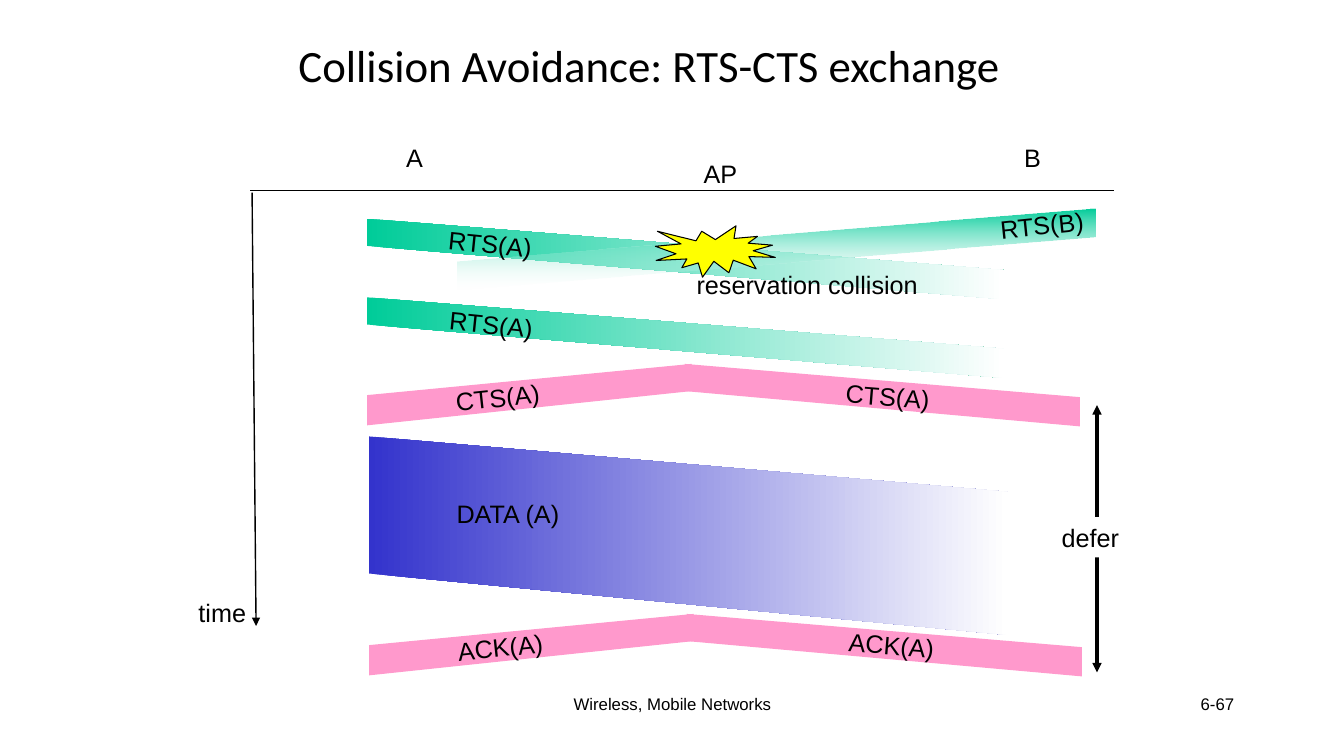
from lxml import etree
from pptx import Presentation
from pptx.dml.color import RGBColor
from pptx.enum.shapes import MSO_CONNECTOR, MSO_SHAPE
from pptx.enum.text import MSO_ANCHOR, PP_ALIGN
from pptx.oxml.ns import qn
from pptx.util import Inches, Pt

BLACK = RGBColor(0x00, 0x00, 0x00)
WHITE = RGBColor(0xFF, 0xFF, 0xFF)
GREEN = RGBColor(0x00, 0xCC, 0x99)
PINK = RGBColor(0xFF, 0x99, 0xCC)
BLUE = RGBColor(0x33, 0x33, 0xCC)
YELLOW = RGBColor(0xFF, 0xFF, 0x00)
LEFT, CENTER, RIGHT = PP_ALIGN.LEFT, PP_ALIGN.CENTER, PP_ALIGN.RIGHT
TITLE_ONLY = 5

presentation = Presentation()
presentation.slide_width = Inches(13.33)
presentation.slide_height = Inches(7.5)
slide = presentation.slides.add_slide(presentation.slide_layouts[TITLE_ONLY])
shapes = slide.shapes


def write(shape, text, size=18, font_name="Arial", align=LEFT, wrap=False):
    frame = shape.text_frame
    frame.word_wrap = wrap
    paragraph = frame.paragraphs[0]
    paragraph.text = text
    paragraph.alignment = align
    font_format = {"size": Pt(size), "name": font_name}
    for name, value in font_format.items():
        setattr(paragraph.font, name, value)
    paragraph.font.color.rgb = BLACK


def add_line(start, end, width, arrows=()):
    """Draw a black line; arrows lists the ends (headEnd, tailEnd) with a triangle."""
    line = shapes.add_connector(MSO_CONNECTOR.STRAIGHT,
                                *[Inches(value) for value in start + end])
    line.line.color.rgb = BLACK
    line.line.width = Pt(width)
    outline = line.line._get_or_add_ln()
    for arrow in arrows:
        etree.SubElement(outline, qn("a:" + arrow), type="triangle")
    etree.SubElement(line._element.spPr, qn("a:effectLst"))


title = shapes.title
title.left, title.top, title.width, title.height = [
    Inches(value) for value in (2.19, 0.13, 8.5, 1.03)]
write(title, "Collision Avoidance: RTS-CTS exchange", 32, "Calibri", CENTER, True)
title.text_frame.vertical_anchor = MSO_ANCHOR.MIDDLE

# Time and station axes
add_line((2.5, 1.91), (2.54, 6.21), 1, ["tailEnd"])
add_line((2.48, 1.89), (11.05, 1.89), 0.75)

# Message bands: x and upper/lower y at each side, colour, gradient angle, end alpha
bands = [
    (3.64, 2.17, 2.44, 9.96, 2.68, 2.97, GREEN, 0, None),
    (4.54, 2.59, 2.87, 10.86, 2.07, 2.35, GREEN, 270, 6),
    (3.64, 2.95, 3.22, 9.96, 3.46, 3.75, GREEN, 0, None),
    (3.66, 4.33, 5.69, 10, 4.88, 6.3, BLUE, 0, None),
]
for x, y in ((3.64, 3.61), (3.66, 6.09)):  # replies fan out from the AP
    bands += [
        (x + 3.15, y, y + 0.27, x + 7.07, y + 0.33, y + 0.62, PINK, None, None),
        (x, y + 0.31, y + 0.61, x + 3.22, y, y + 0.27, PINK, None, None),
    ]
for x1, top1, bottom1, x2, top2, bottom2, color, angle, alpha in bands:
    corners = [(Inches(x), Inches(y)) for x, y in
               ((x1, top1), (x2, top2), (x2, bottom2), (x1, bottom1))]
    builder = shapes.build_freeform(*corners[0], scale=1.0)
    builder.add_line_segments(corners[1:], close=True)
    band = builder.convert_to_shape()
    band.shadow.inherit = False
    band.line.fill.background()
    if angle is None:
        band.fill.solid()
        band.fill.fore_color.rgb = color
        continue
    band.fill.gradient()
    band.fill.gradient_angle = angle
    for stop, stop_color, position in zip(band.fill.gradient_stops, (color, WHITE), (0, 1)):
        stop.color.rgb = stop_color
        stop.position = position
    if alpha is not None:
        end_color = band._element.spPr.findall(".//" + qn("a:srgbClr"))[-1]
        etree.SubElement(end_color, qn("a:alpha"), val=str(alpha * 1000))

collision = shapes.add_shape(MSO_SHAPE.EXPLOSION1, Inches(6.5), Inches(2.24),
                             Inches(1.19), Inches(0.51))
collision.shadow.inherit = False
collision.fill.solid()
collision.fill.fore_color.rgb = YELLOW
collision.line.color.rgb = BLACK
collision.line.width = Pt(0.75)

# Labels: text, left, top, width, rotation
for text, left, top, width, rotation in (
    ("AP", 6.88, 1.52, 0.54, 0),
    ("A", 3.93, 1.36, 0.38, 0),
    ("B", 10.06, 1.36, 0.37, 0),
    ("time", 1.87, 5.88, 0.68, 0),
    ("RTS(A)", 4.35, 2.22, 1.07, 5.9),
    ("RTS(B)", 9.82, 2.03, 1.04, -5.9),
    ("RTS(A)", 4.36, 3.02, 1.07, 5.9),
    ("CTS(A)", 4.42, 3.74, 1.06, -6.3),
    ("CTS(A)", 8.29, 3.73, 1.06, 4.6),
    ("DATA (A)", 4.43, 4.89, 1.97, 0),
    ("ACK(A)", 4.44, 6.22, 1.05, -6.3),
    ("ACK(A)", 8.32, 6.2, 1.05, 4.6),
    ("reservation collision", 6.81, 2.62, 3.09, 0),
):
    label = shapes.add_textbox(Inches(left), Inches(top), Inches(width), Inches(0.4))
    label.rotation = rotation
    write(label, text, wrap=width > 1.5)

# Deferral period of station B
add_line((10.88, 4.02), (10.88, 6.67), 2.25, ["headEnd", "tailEnd"])
defer = shapes.add_shape(MSO_SHAPE.RECTANGLE, Inches(10.43), Inches(5.13),
                         Inches(0.78), Inches(0.4))
defer.shadow.inherit = False
defer.fill.solid()
defer.fill.fore_color.rgb = WHITE
defer.line.fill.background()
write(defer, "defer")

for text, left, width, align in (("Wireless, Mobile Networks", 4.56, 4.22, CENTER),
                                 ("6-67", 9.56, 2.78, RIGHT)):
    footer = shapes.add_textbox(Inches(left), Inches(6.83), Inches(width), Inches(0.5))
    write(footer, text, 12, align=align, wrap=True)

presentation.save("out.pptx")
